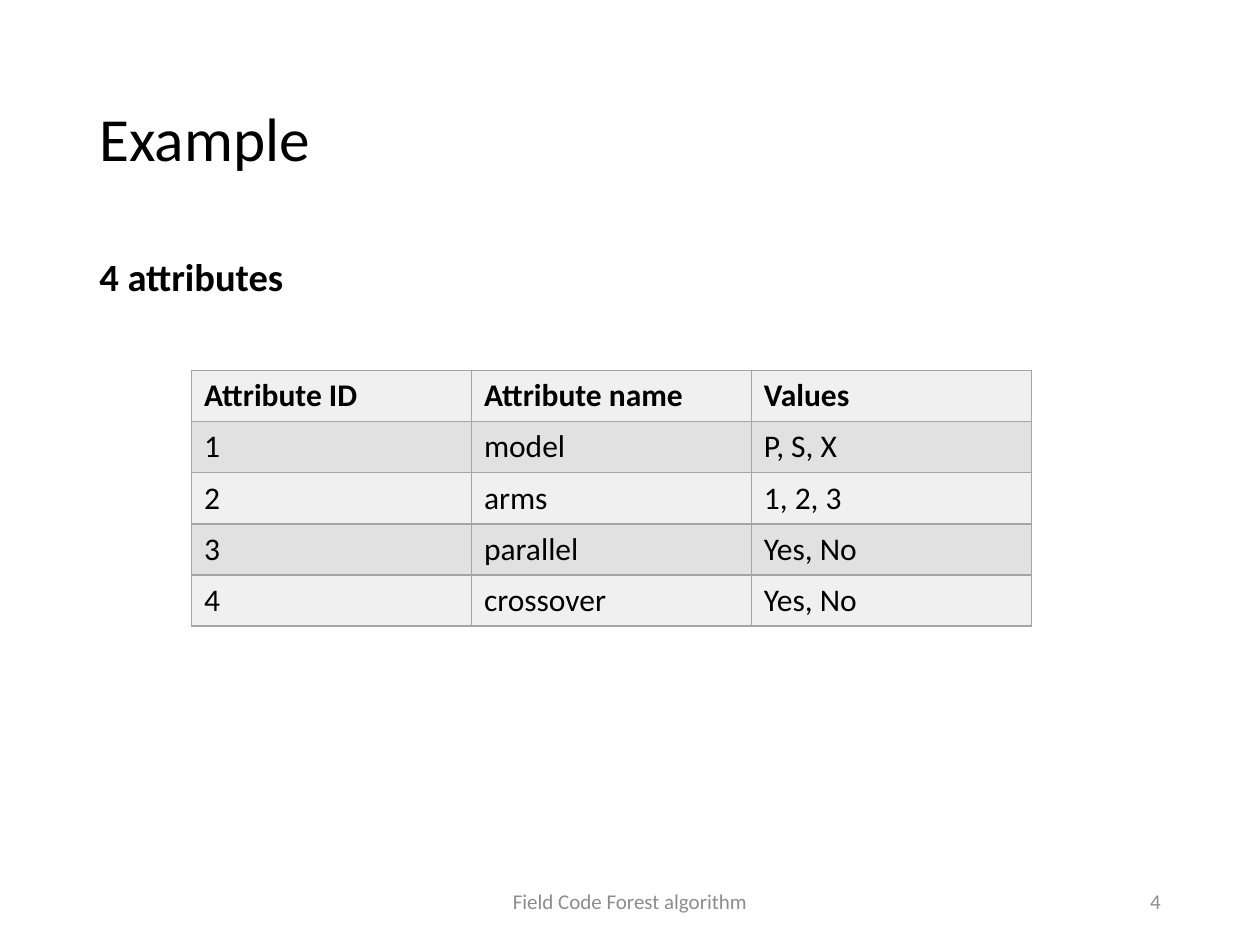
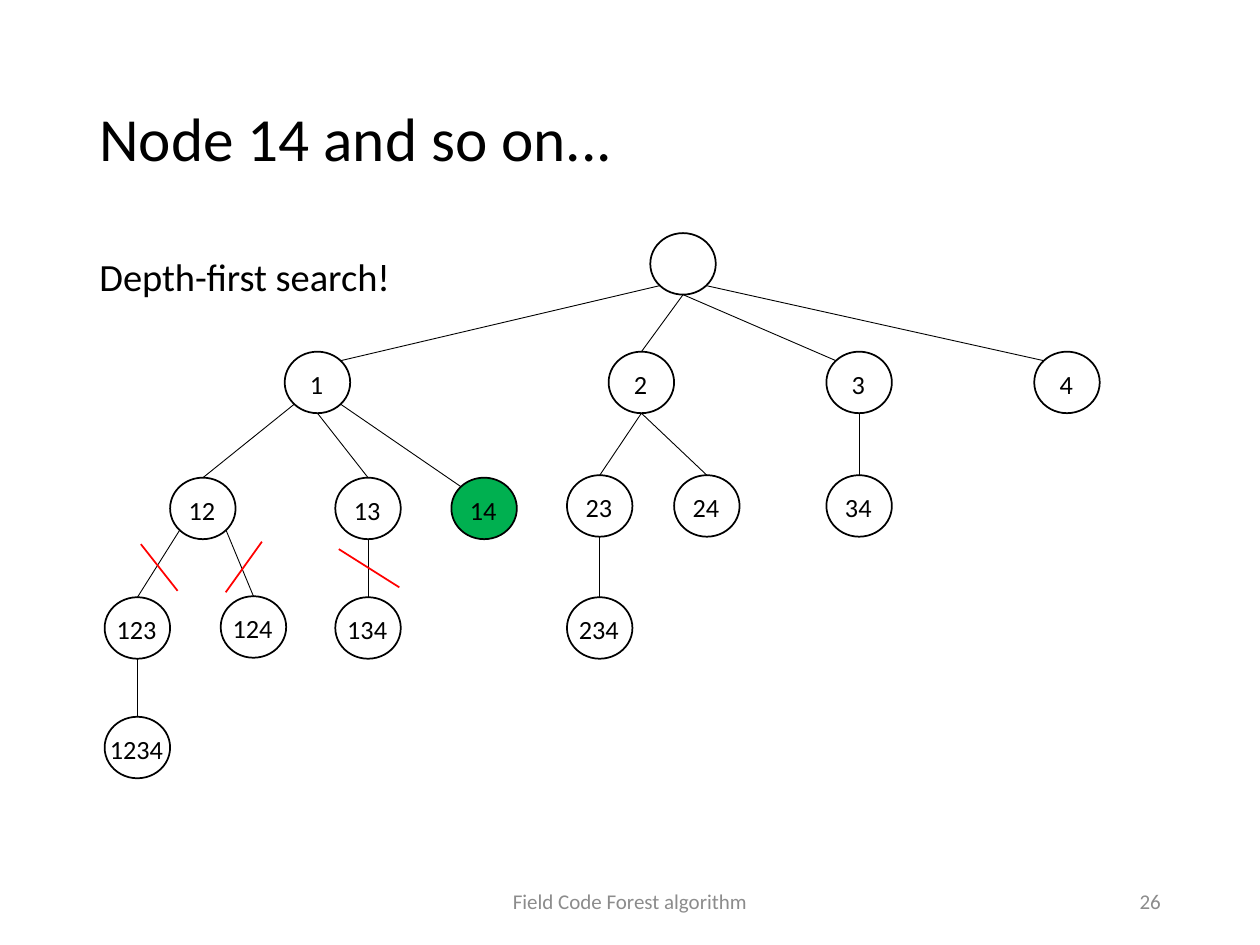
"""Build two slides on a field code forest: an attribute table and a search tree."""
from dataclasses import dataclass
from typing import Optional

from lxml.etree import SubElement
from pptx import Presentation
from pptx.dml.color import RGBColor
from pptx.enum.shapes import MSO_CONNECTOR, MSO_SHAPE
from pptx.enum.text import MSO_ANCHOR, MSO_AUTO_SIZE, PP_ALIGN
from pptx.oxml.ns import qn
from pptx.util import Cm, Pt

FONT = "Calibri"
COLORS = {
    "text": "000000", "footer": "8C8C8C", "white": "FFFFFF",
    "border": "A5A5A5", "light": "F0F0F0", "dark": "E1E1E1",
    "current": "00B050", "cut": "FF0000",
}
FOOTER = "Field Code Forest algorithm"
NODE_W, NODE_H = 1.32, 1.24
DIAGONAL = 0.354
TOP, BOTTOM = (0, -1), (0, 1)
TOP_LEFT, TOP_RIGHT = (-1, -1), (1, -1)
BOTTOM_LEFT, BOTTOM_RIGHT = (-1, 1), (1, 1)


@dataclass
class Node:
    """A tree node, placed by its left and top in centimetres."""
    label: str
    x: float
    y: float
    fill: Optional[str] = None

    def point(self, side: tuple) -> tuple:
        """Return the point on the outline that lies towards the side."""
        dx, dy = side
        reach = DIAGONAL if dx and dy else 0.5
        return (self.x + NODE_W * (0.5 + reach * dx),
                self.y + NODE_H * (0.5 + reach * dy))


@dataclass
class Edge:
    """A line from a parent node to a child node."""
    parent: str
    child: str
    start: tuple = BOTTOM
    end: tuple = TOP


NODES = [
    Node("", 13.11, 4.7, "white"),
    Node("1", 5.74, 7.09), Node("2", 12.27, 7.09),
    Node("3", 16.66, 7.09), Node("4", 20.85, 7.09),
    Node("12", 3.43, 9.63), Node("13", 6.76, 9.63),
    Node("14", 9.1, 9.63, "current"),
    Node("23", 11.43, 9.58), Node("24", 13.59, 9.58), Node("34", 16.66, 9.58),
    Node("123", 2.11, 12.04), Node("124", 4.45, 12.02),
    Node("134", 6.76, 12.04), Node("234", 11.43, 12.04),
    Node("1234", 2.11, 14.45),
]
EDGES = [
    Edge("", "1", BOTTOM_LEFT, TOP_RIGHT), Edge("", "2"),
    Edge("", "3", BOTTOM, TOP_LEFT), Edge("", "4", BOTTOM_RIGHT, TOP_LEFT),
    Edge("1", "12", BOTTOM_LEFT), Edge("1", "13"),
    Edge("1", "14", BOTTOM_RIGHT, TOP_LEFT),
    Edge("2", "23"), Edge("2", "24"), Edge("3", "34"),
    Edge("12", "123", BOTTOM_LEFT), Edge("12", "124", BOTTOM_RIGHT),
    Edge("13", "134"), Edge("23", "234"), Edge("123", "1234"),
]
CUTS = [
    ((2.84, 10.97), (3.58, 11.91)),
    ((4.55, 11.94), (5.28, 10.92)),
    ((6.83, 11.07), (8.05, 11.84)),
]
ATTRIBUTES = [
    ("Attribute ID", "Attribute name", "Values"),
    ("1", "model", "P, S, X"),
    ("2", "arms", "1, 2, 3"),
    ("3", "parallel", "Yes, No"),
    ("4", "crossover", "Yes, No"),
]


def rgb(name: str) -> RGBColor:
    """Return the named colour."""
    return RGBColor.from_string(COLORS[name])


def write(tf, text: str, size: float = 18, color: str = "text",
          bold: bool = False, align=PP_ALIGN.LEFT, anchor=None,
          spacing: Optional[float] = None, before: float = 0):
    """Put one formatted paragraph into a text frame and return it."""
    p = tf.paragraphs[0]
    p.alignment = align
    p.space_before = Pt(before)
    if spacing:
        p.line_spacing = spacing
    if anchor is not None:
        tf.vertical_anchor = anchor
    r = p.add_run()
    r.text = text
    r.font.name, r.font.size, r.font.bold = FONT, Pt(size), bold
    r.font.color.rgb = rgb(color)
    return p


def place(sp, x: float, y: float, w: float, h: float) -> None:
    """Move and size a shape, in centimetres."""
    sp.left, sp.top, sp.width, sp.height = Cm(x), Cm(y), Cm(w), Cm(h)


def add_text(s, box: tuple, text: str, wrap: bool = True, **fmt) -> None:
    """Add a text box."""
    tf = s.shapes.add_textbox(*map(Cm, box)).text_frame
    tf.word_wrap = wrap
    write(tf, text, **fmt)


def add_line(s, start: tuple, end: tuple, color: str, width: float) -> None:
    """Add a straight line without a shadow."""
    c = s.shapes.add_connector(MSO_CONNECTOR.STRAIGHT, *map(Cm, start + end))
    c.line.color.rgb = rgb(color)
    c.line.width = Pt(width)
    SubElement(c._element.spPr, qn("a:effectLst"))


def add_node(s, node: Node) -> None:
    """Add a node circle and the label over it."""
    sp = s.shapes.add_shape(MSO_SHAPE.OVAL, Cm(node.x), Cm(node.y),
                            Cm(NODE_W), Cm(NODE_H))
    sp.shadow.inherit = False
    sp.line.color.rgb = rgb("text")
    sp.line.width = Pt(1)
    if node.fill:
        sp.fill.solid()
        sp.fill.fore_color.rgb = rgb(node.fill)
    else:
        sp.fill.background()
    if node.label:
        w = 0.53 + 0.27 * len(node.label)
        box = (node.x + (NODE_W - w) / 2, node.y + 0.2, w, 0.89)
        add_text(s, box, node.label, wrap=False, size=15)


def style_cell(cell, text: str, fill: str, bold: bool) -> None:
    """Write, border and fill a table cell."""
    write(cell.text_frame, text, bold=bold)
    tcPr = cell._tc.get_or_add_tcPr()
    for side in ("lnL", "lnR", "lnT", "lnB"):
        ln = SubElement(tcPr, qn(f"a:{side}"), w=str(Pt(1)))
        solid = SubElement(ln, qn("a:solidFill"))
        SubElement(solid, qn("a:srgbClr"), val=COLORS["border"])
    cell.fill.solid()
    cell.fill.fore_color.rgb = rgb(fill)


def add_attribute_table(s) -> None:
    """Add the banded attribute table."""
    rows, cols = len(ATTRIBUTES), len(ATTRIBUTES[0])
    table = s.shapes.add_table(rows, cols, Cm(3.86), Cm(7.47),
                               Cm(16.93), Cm(1.03 * rows)).table
    table.horz_banding = False
    for i, row in enumerate(ATTRIBUTES):
        for j, text in enumerate(row):
            style_cell(table.cell(i, j), text, "dark" if i % 2 else "light",
                       bold=i == 0)


def add_slide(prs, title: str, body: str, body_size: tuple, number: int,
              bold: bool = False):
    """Add a slide with its title, body line and footers."""
    s = prs.slides.add_slide(prs.slide_layouts[1])
    sp = s.shapes.title
    place(sp, 1.75, 1.02, 21.9, 3.68)
    sp.text_frame.auto_size = MSO_AUTO_SIZE.NONE
    write(sp.text_frame, title, size=35, spacing=0.9,
          anchor=MSO_ANCHOR.MIDDLE)
    sp = s.placeholders[1]
    place(sp, 1.75, 5.08, *body_size)
    sp.text_frame.auto_size = MSO_AUTO_SIZE.NONE
    p = write(sp.text_frame, body, size=22, bold=bold, spacing=0.9,
              before=10, anchor=MSO_ANCHOR.TOP)
    pPr = p._p.get_or_add_pPr()
    pPr.set("marL", "0")
    pPr.set("indent", "0")
    SubElement(pPr, qn("a:buNone"))
    footer = dict(size=12, color="footer", anchor=MSO_ANCHOR.MIDDLE)
    add_text(s, (8.41, 17.65, 8.58, 1.02), FOOTER,
             align=PP_ALIGN.CENTER, **footer)
    add_text(s, (17.93, 17.65, 5.72, 1.02), str(number),
             align=PP_ALIGN.RIGHT, **footer)
    return s


def main() -> None:
    """Build and save the presentation."""
    prs = Presentation()
    prs.slide_width, prs.slide_height = Cm(25.4), Cm(19.05)

    s = add_slide(prs, "Example", "4 attributes", (21.9, 12.09), 4, bold=True)
    add_attribute_table(s)

    s = add_slide(prs, "Node 14 and so on...", "Depth-first search!",
                  (7.85, 1.17), 26)
    nodes = {node.label: node for node in NODES}
    for edge in EDGES:
        add_line(s, nodes[edge.parent].point(edge.start),
                 nodes[edge.child].point(edge.end), "text", 0.5)
    for node in NODES:
        add_node(s, node)
    for start, end in CUTS:
        add_line(s, start, end, "cut", 1)

    prs.save("out.pptx")


main()
